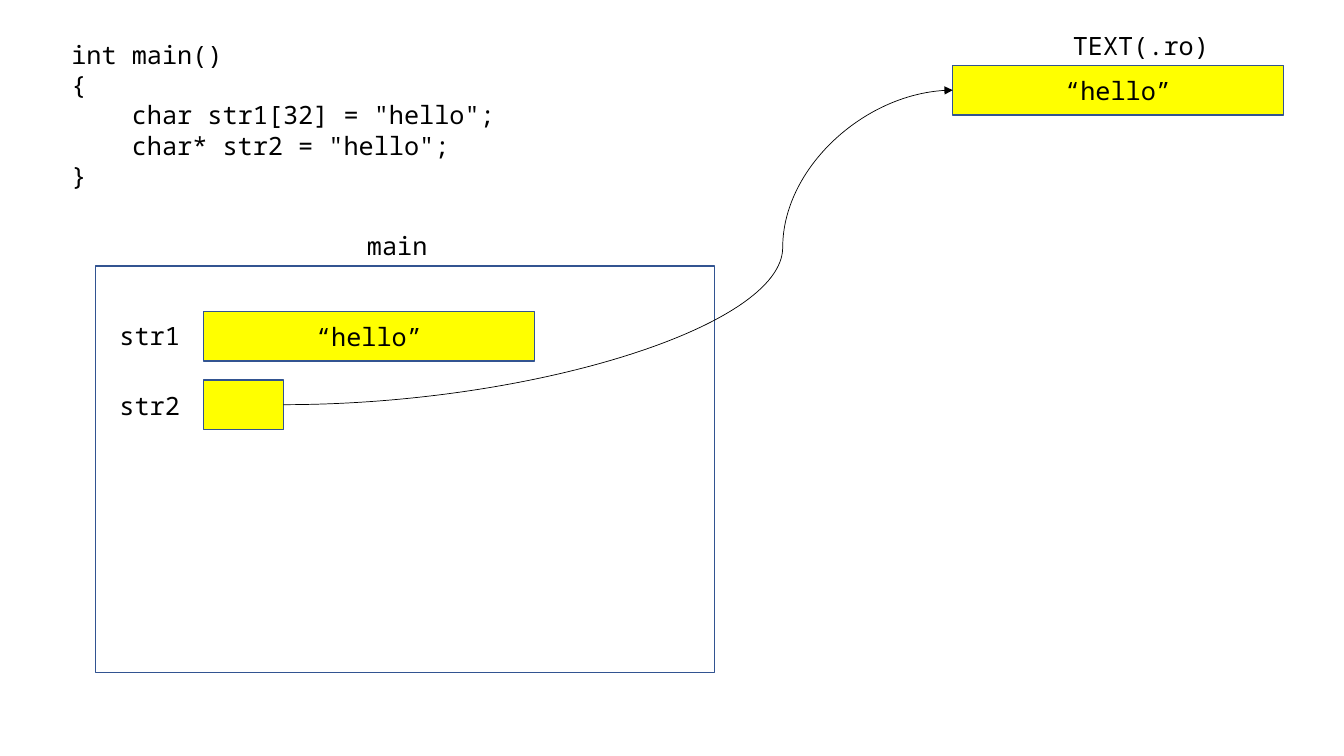
from dataclasses import dataclass

from lxml import etree
from pptx import Presentation
from pptx.dml.color import RGBColor
from pptx.enum.shapes import MSO_CONNECTOR, MSO_SHAPE
from pptx.enum.text import MSO_ANCHOR, PP_ALIGN
from pptx.oxml.ns import qn
from pptx.util import Inches, Pt

RECTANGLE = MSO_SHAPE.RECTANGLE
CURVE = MSO_CONNECTOR.CURVE
LEFT, CENTER = PP_ALIGN.LEFT, PP_ALIGN.CENTER
MIDDLE = MSO_ANCHOR.MIDDLE
LEFT_SITE, RIGHT_SITE = 1, 3


@dataclass(frozen=True)
class Theme:
    """Colours, font and sizes of the slide."""
    ink: RGBColor = RGBColor(0x00, 0x00, 0x00)
    paper: RGBColor = RGBColor(0xFF, 0xFF, 0xFF)
    memory: RGBColor = RGBColor(0xFF, 0xFF, 0x00)
    border: RGBColor = RGBColor(0x32, 0x54, 0x91)
    font: str = "Noto Sans Mono"
    text_size: Pt = Pt(18)
    border_width: Pt = Pt(1)
    pointer_width: Pt = Pt(0.5)


theme = Theme()


def write(shape, text, align=CENTER):
    """Put themed text into a shape or text box."""
    frame = shape.text_frame
    frame.word_wrap = True
    frame.text = text
    for paragraph in frame.paragraphs:
        paragraph.alignment = align
        for run in paragraph.runs:
            run.font.name = theme.font
            run.font.size = theme.text_size
            run.font.color.rgb = theme.ink


def add_box(left, top, width, height, fill, text=""):
    """Draw a bordered memory box and return it."""
    box = slide.shapes.add_shape(
        RECTANGLE, Inches(left), Inches(top), Inches(width), Inches(height))
    box.shadow.inherit = False
    box.fill.solid()
    box.fill.fore_color.rgb = fill
    box.line.color.rgb = theme.border
    box.line.width = theme.border_width
    if text:
        box.text_frame.vertical_anchor = MIDDLE
        write(box, text)
    return box


prs = Presentation()
prs.slide_width, prs.slide_height = Inches(13.33), Inches(7.5)
slide = prs.slides.add_slide(prs.slide_layouts[6])

# Source code, with the function body indented by four characters
code = slide.shapes.add_textbox(
    Inches(0.61), Inches(0.34), Inches(6.67), Inches(1.62))
write(code, 'int main()\n{\nchar str1[32] = "hello";\nchar* str2 = "hello";\n}', LEFT)
for statement in code.text_frame.paragraphs[2:4]:
    properties = statement._p.get_or_add_pPr()
    properties.set("marL", str(Inches(0.6)))
    properties.set("indent", "0")

# Stack frame of main and the read-only string
cell_left, cell_height = 2.02, 0.49
array_width, pointer_width = 3.28, 0.79
add_box(0.95, 2.64, 6.14, 4.03, theme.paper)
add_box(cell_left, 3.09, array_width, cell_height, theme.memory, "“hello”")
str2_cell = add_box(cell_left, 3.77, pointer_width, cell_height, theme.memory)
literal = add_box(9.45, 0.65, array_width, cell_height, theme.memory, "“hello”")

labels = [
    ("main", 3.29, 2.24, 1.3),
    ("str1", 0.95, 3.13, 1.07),
    ("str2", 0.95, 3.82, 1.07),
    ("TEXT(.ro)", 10.44, 0.25, 1.75),
]
for name, left, top, width in labels:
    label = slide.shapes.add_textbox(
        Inches(left), Inches(top), Inches(width), Inches(0.4))
    write(label, name)

# Pointer from str2 to the string literal
pointer = slide.shapes.add_connector(
    CURVE, Inches(2.82), Inches(4.01), Inches(9.45), Inches(0.9))
pointer.begin_connect(str2_cell, RIGHT_SITE)
pointer.end_connect(literal, LEFT_SITE)
pointer.line.color.rgb = theme.ink
pointer.line.width = theme.pointer_width
pointer_properties = pointer._element.spPr
bend = pointer_properties.find(qn("a:prstGeom")).find(qn("a:avLst"))
etree.SubElement(bend, qn("a:gd"), name="adj1", fmla="val 74600")
etree.SubElement(pointer.line._get_or_add_ln(), qn("a:tailEnd"), type="triangle")
etree.SubElement(pointer_properties, qn("a:effectLst"))

prs.save("out.pptx")
